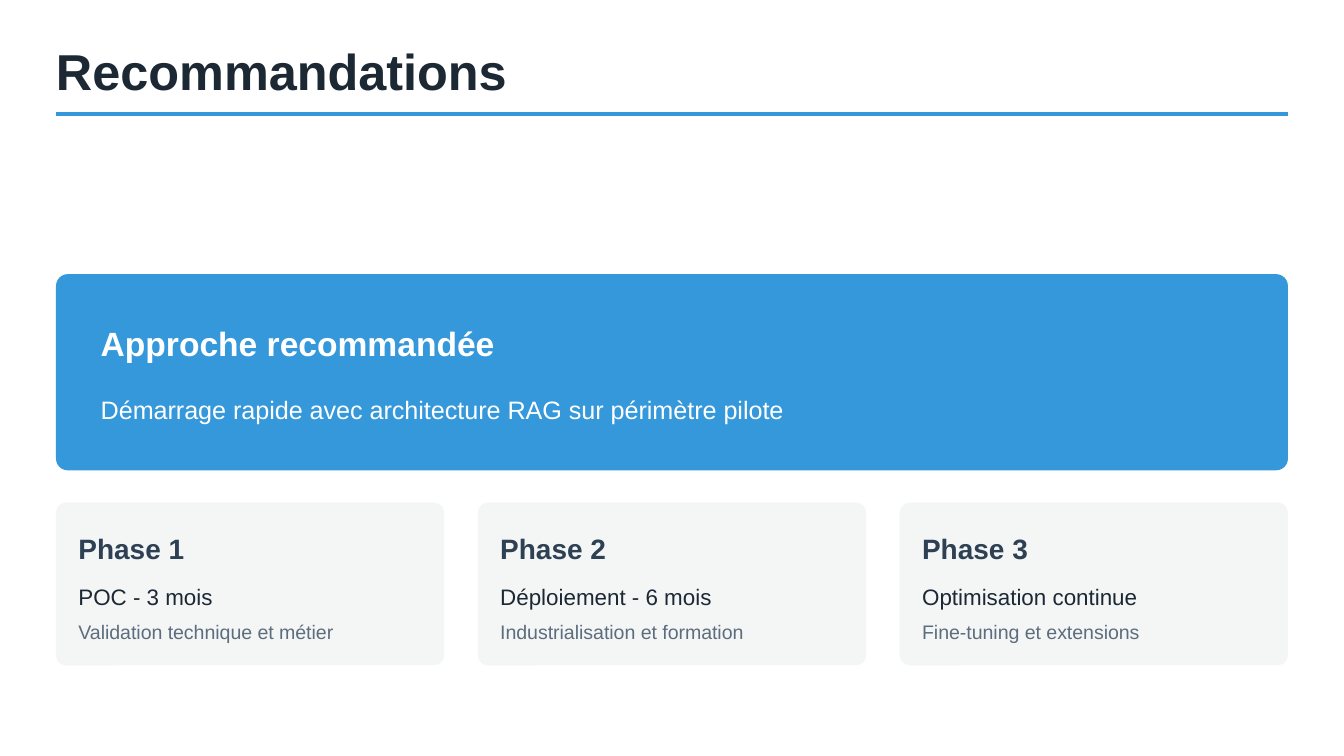
"""Build the recommendations slide: title, key approach banner and three phase cards."""
from lxml.etree import SubElement
from pptx import Presentation
from pptx.dml.color import RGBColor
from pptx.enum.shapes import MSO_CONNECTOR, MSO_SHAPE
from pptx.enum.text import MSO_ANCHOR
from pptx.oxml.ns import qn
from pptx.util import Inches, Pt

COLORS = {
    "accent": "3498DB", "card": "F4F6F6", "ink": "1C2833",
    "heading": "2E4053", "muted": "5D6D7E", "white": "FFFFFF",
}
TITLE = "Recommandations"
APPROACH = "Approche recommandée"
SUMMARY = "Démarrage rapide avec architecture RAG sur périmètre pilote"
PHASES = [
    ("Phase 1", "POC - 3 mois", "Validation technique et métier"),
    ("Phase 2", "Déploiement - 6 mois", "Industrialisation et formation"),
    ("Phase 3", "Optimisation continue", "Fine-tuning et extensions"),
]
PHASE_STYLES = [
    dict(top=3.91, height=0.29, size=15, leading=21, color="heading", bold=True),
    dict(top=4.29, height=0.25, size=12, leading=18, color="ink", before=6),
    dict(top=4.58, height=0.21, size=10.5, leading=15, color="muted", before=3),
]
FONT = "Arial"
SLIDE_WIDTH = 10
SLIDE_HEIGHT = SLIDE_WIDTH * 9 / 16
MARGIN = 5 / 12
CONTENT_WIDTH = SLIDE_WIDTH - 2 * MARGIN
CARD_GAP = 0.25
CARD_WIDTH = (CONTENT_WIDTH - CARD_GAP * (len(PHASES) - 1)) / len(PHASES)
CARD_PADDING = 1 / 6


def rgb(name):
    return RGBColor.from_string(COLORS[name])


def add_text(slide, text, *, left, top, width, height, size, leading, color,
             bold=False, before=0):
    box = slide.shapes.add_textbox(Inches(left), Inches(top), Inches(width), Inches(height))
    frame = box.text_frame
    frame.word_wrap = True
    frame.vertical_anchor = MSO_ANCHOR.TOP
    frame.margin_left = frame.margin_top = frame.margin_right = frame.margin_bottom = 0
    paragraph = frame.paragraphs[0]
    paragraph.line_spacing = Pt(leading)
    paragraph.space_before = Pt(before)
    run = paragraph.add_run()
    run.text = text
    run.font.name = FONT
    run.font.size = Pt(size)
    run.font.bold = bold
    run.font.color.rgb = rgb(color)


def add_panel(slide, left, top, width, height, color, rounding):
    panel = slide.shapes.add_shape(
        MSO_SHAPE.ROUNDED_RECTANGLE, Inches(left), Inches(top), Inches(width), Inches(height))
    panel.adjustments[0] = rounding
    panel.shadow.inherit = False
    panel.fill.solid()
    panel.fill.fore_color.rgb = rgb(color)
    panel.line.fill.background()


def add_rule(slide, top):
    rule = slide.shapes.add_connector(
        MSO_CONNECTOR.STRAIGHT, Inches(MARGIN), Inches(top),
        Inches(MARGIN + CONTENT_WIDTH), Inches(top))
    rule.line.color.rgb = rgb("accent")
    rule.line.width = Pt(2.25)
    SubElement(rule._element.spPr, qn("a:effectLst"))


def main():
    deck = Presentation()
    deck.slide_width, deck.slide_height = Inches(SLIDE_WIDTH), Inches(SLIDE_HEIGHT)
    slide = deck.slides.add_slide(deck.slide_layouts[6])
    slide.background.fill.solid()
    slide.background.fill.fore_color.rgb = rgb("white")

    add_rule(slide, 0.85)
    add_text(slide, TITLE, left=MARGIN, top=0.33, width=4.69, height=0.42,
             size=27, leading=30, color="ink", bold=True)

    add_panel(slide, MARGIN, 2.04, CONTENT_WIDTH, 1.46, "accent", 0.06)
    add_text(slide, APPROACH, left=0.75, top=2.37, width=8.67, height=0.33,
             size=18, leading=24, color="white", bold=True)
    add_text(slide, SUMMARY, left=0.75, top=2.87, width=8.67, height=0.29,
             size=13.5, leading=21, color="white", before=12)

    for index, phase in enumerate(PHASES):
        left = MARGIN + index * (CARD_WIDTH + CARD_GAP)
        add_panel(slide, left, 3.74, CARD_WIDTH, 1.21, "card", 0.06)
        for text, style in zip(phase, PHASE_STYLES):
            add_text(slide, text, left=left + CARD_PADDING, width=2.61, **style)

    deck.save("out.pptx")


if __name__ == "__main__":
    main()
